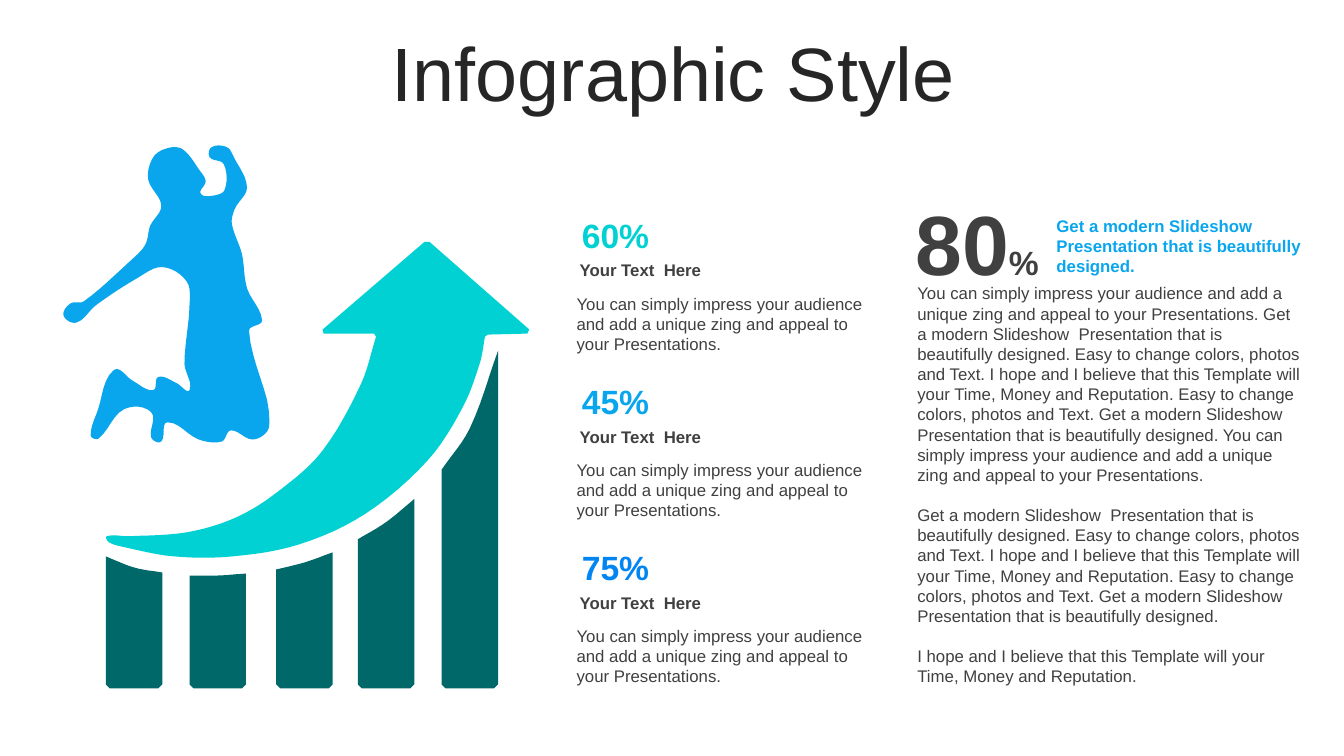
import math
import pptx
import pptx.dml.color
import pptx.enum.text
import pptx.util

RGB = pptx.dml.color.RGBColor
ALIGN = pptx.enum.text.PP_ALIGN
ANCHOR = pptx.enum.text.MSO_ANCHOR
SKY = RGB(0x0A, 0xA6, 0xED)
AQUA = RGB(0x01, 0xD1, 0xD3)
BLUE = RGB(0x00, 0x85, 0xF2)
TEAL = RGB(0x01, 0x68, 0x69)
GREY = RGB(0x40, 0x40, 0x40)
INK = RGB(0x26, 0x26, 0x26)

COLS, ROWS = 13.33, 7.5
BASE = 6.83
WIDE = 0.56
STEPS = 6

JUMPER = [[
    (2.65, 3.97), (2.47, 3.28), (2.6, 3.18), (2.45, 2.86), (2.4, 2.52), (2.3, 2.22),
    (2.33, 2.07), (2.45, 1.86), (2.32, 1.56), (2.25, 1.46), (2.1, 1.46), (2.08, 1.56),
    (2.22, 1.63), (2.23, 1.88), (2.12, 1.94), (1.99, 1.92), (2.04, 1.8), (1.98, 1.69),
    (1.81, 1.48), (1.66, 1.47), (1.52, 1.56), (1.47, 1.78), (1.6, 2.04), (1.49, 2.24),
    (1.44, 2.43), (1.28, 2.6), (0.83, 2.99), (0.7, 3.01), (0.63, 3.13), (0.76, 3.2),
    (0.95, 3.03), (1.36, 2.76), (1.61, 2.65), (1.85, 2.79), (1.88, 3.03), (1.83, 3.61),
    (1.88, 3.87), (1.75, 3.8), (1.57, 3.74), (1.52, 3.87), (1.32, 3.78), (1.13, 3.67),
    (0.97, 4.07), (0.9, 4.32), (0.98, 4.35), (1.23, 4.06), (1.5, 4.09), (1.5, 4.34),
    (1.6, 4.38), (1.66, 4.19), (1.97, 4.36), (2.2, 4.38), (2.29, 4.27), (2.5, 4.36),
    (2.65, 4.28), (2.67, 4.13), (2.65, 3.97),
]]
ARROW = [
    [(3.21, 3.31), (3.71, 3.31)],
    [(3.73, 3.34), (3.58, 3.81), (3.2, 4.47), (2.78, 4.86), (2.35, 5.13), (1.86, 5.28),
     (1.28, 5.32), (1.06, 5.32), (1.08, 5.38), (1.24, 5.43), (1.72, 5.52), (2.31, 5.52),
     (2.97, 5.4), (3.62, 5.1), (4.24, 4.57), (4.59, 4.04), (4.76, 3.6), (4.81, 3.34)],
    [(4.84, 3.32), (5.23, 3.31)],
    [(5.25, 3.27), (4.26, 2.4)],
    [(4.21, 2.4), (3.2, 3.27)],
]
BARS = [
    (1.05, 5.52, 5.63, 5.68),
    (1.88, 5.71, 5.71, 5.69),
    (2.74, 5.65, 5.58, 5.48),
    (3.55, 5.35, 5.18, 4.95),
    (4.38, 4.66, 4.25, 3.48),
]

IMPRESS = "You can simply impress your audience and add a unique zing and appeal to your Presentations."
MODERN = "Get a modern Slideshow  Presentation that is beautifully designed."
HOPE = "I hope and I believe that this Template will your Time, Money and Reputation."
EASY = "Easy to change colors, photos and Text."
PITCH = f"{MODERN} {EASY} {HOPE} {EASY} {MODERN}"
STORY = [f"{IMPRESS} {PITCH} {IMPRESS}", PITCH, HOPE]


def smooth(span):
    if len(span) == 2:
        return span
    last = len(span) - 1
    slopes = []
    for i in range(last + 1):
        (ax, ay), (bx, by) = span[max(i - 1, 0)], span[min(i + 1, last)]
        size = math.dist((ax, ay), (bx, by))
        slopes.append(((bx - ax) / size, (by - ay) / size))
    spots = [span[0]]
    for a, b, m, n in zip(span, span[1:], slopes, slopes[1:]):
        reach = math.dist(a, b)
        for i in range(1, STEPS + 1):
            t = i / STEPS
            ease = t * t * (3 - 2 * t)
            out, back = t * (1 - t) ** 2 * reach, t * t * (t - 1) * reach
            spots.append(tuple(a[k] + (b[k] - a[k]) * ease + m[k] * out + n[k] * back
                               for k in (0, 1)))
    return spots


class Board:
    font = "Arial"

    def __init__(self, deck):
        self.slide = deck.slides.add_slide(deck.slide_layouts[6])
        self.cell = deck.slide_width / COLS

    def text(self, left, top, wide, high, paras, align=ALIGN.LEFT, anchor=ANCHOR.TOP,
             gap=0, pitch=None):
        spots = [round(self.cell * n) for n in (left, top, wide, high)]
        frame = self.slide.shapes.add_textbox(*spots).text_frame
        frame.word_wrap = True
        frame.vertical_anchor = anchor
        for i, runs in enumerate(paras):
            para = frame.add_paragraph() if i else frame.paragraphs[0]
            para.alignment = align
            if pitch:
                para.line_spacing = pitch
            if i and gap:
                para.space_before = pptx.util.Pt(gap)
            for words, size, color, bold in runs:
                run = para.add_run()
                run.text = words
                run.font.name = self.font
                run.font.size = pptx.util.Pt(size)
                run.font.color.rgb = color
                run.font.bold = bold

    def shape(self, spans, color):
        dots = [(x * 1000, y * 1000) for span in spans for x, y in smooth(span)]
        pen = self.slide.shapes.build_freeform(*dots[0], scale=self.cell / 1000)
        pen.add_line_segments(dots[1:], close=True)
        form = pen.convert_to_shape()
        form.shadow.inherit = False
        form.fill.solid()
        form.fill.fore_color.rgb = color
        form.line.fill.background()

    def bar(self, left, start, mid, end, color):
        right, nick = left + WIDE, 0.04
        crest = [(right, end), (left + WIDE / 2, mid), (left, start)]
        foot = [(left, BASE - nick), (left + nick, BASE)]
        heel = [(right - nick, BASE), (right, BASE - nick)]
        self.shape([foot, heel, crest], color)

    def fact(self, top, share, color):
        self.text(5.62, top, 0.97, 0.5, [[(share, 24, color, True)]], ALIGN.CENTER, ANCHOR.MIDDLE)
        self.text(5.62, top + 0.78, 3.22, 0.71, [[(IMPRESS, 12, GREY, False)]])
        self.text(5.65, top + 0.45, 3.22, 0.3, [[("Your Text  Here", 12, GREY, True)]])


def main():
    deck = pptx.Presentation()
    deck.slide_width = pptx.util.Inches(COLS)
    deck.slide_height = pptx.util.Inches(ROWS)
    board = Board(deck)
    board.text(0.35, 0.37, 12.66, 0.79, [[("Infographic Style", 54, INK, False)]],
               ALIGN.CENTER, ANCHOR.MIDDLE, pitch=0.9)
    board.shape(JUMPER, SKY)
    board.shape(ARROW, AQUA)
    for bar in BARS:
        board.bar(*bar, TEAL)
    for i, (share, color) in enumerate([("60%", AQUA), ("45%", SKY), ("75%", BLUE)]):
        board.fact(2.08 + 1.65 * i, share, color)
    board.text(8.97, 1.84, 1.44, 1.11, [[("80", 60, GREY, True), ("%", 24, GREY, True)]],
               ALIGN.CENTER, ANCHOR.MIDDLE)
    board.text(10.38, 2.09, 2.63, 0.71, [[(MODERN, 12, SKY, True)]])
    board.text(9, 2.76, 4.01, 4.14, [[(words, 12, GREY, False)] for words in STORY], gap=14.4)
    deck.save("out.pptx")


if __name__ == "__main__":
    main()
